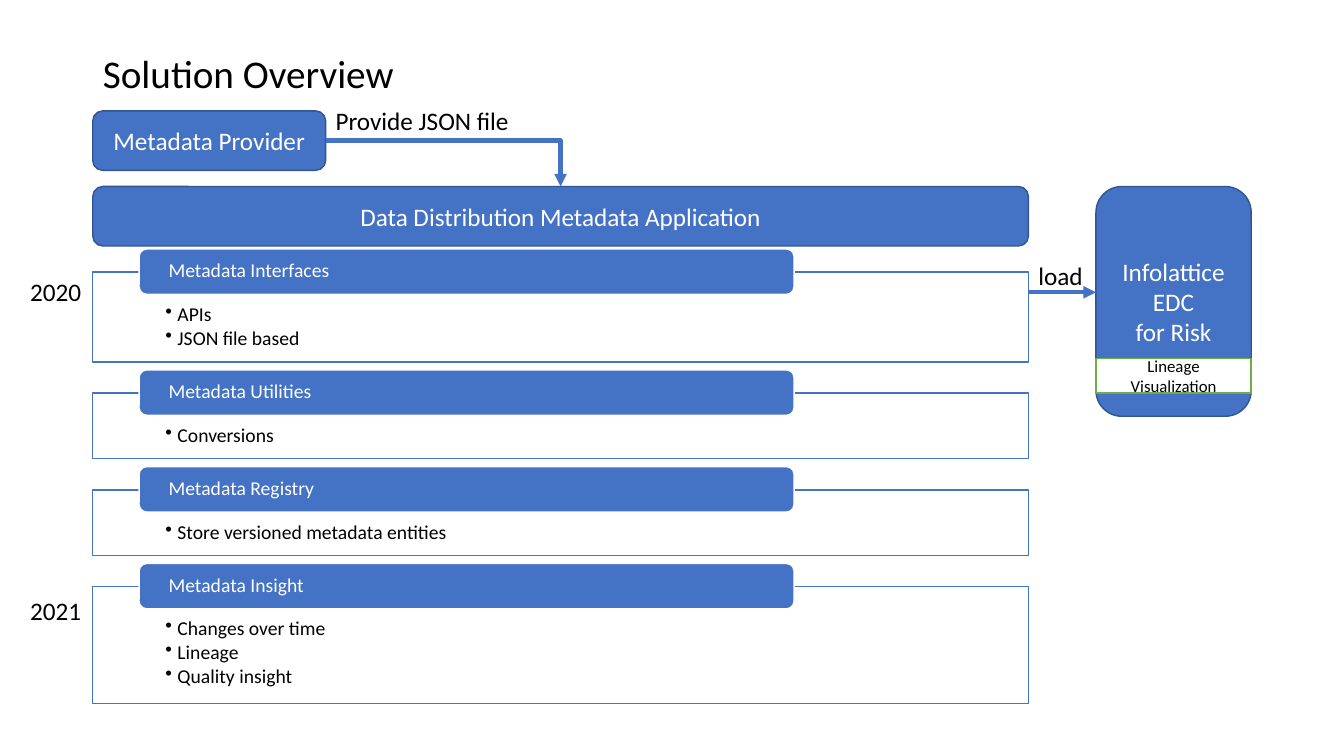
from collections import namedtuple
from dataclasses import dataclass

from lxml.etree import SubElement
from pptx import Presentation
from pptx.dml.color import RGBColor
from pptx.enum.shapes import MSO_CONNECTOR, MSO_SHAPE
from pptx.enum.text import MSO_ANCHOR, PP_ALIGN
from pptx.oxml.ns import qn
from pptx.util import Inches, Pt

Box = namedtuple("Box", "left top width height")


@dataclass(frozen=True)
class Theme:
    font: str = "Calibri"
    blue: str = "4472C4"
    dark_blue: str = "325491"
    green: str = "70AD47"
    white: str = "FFFFFF"
    black: str = "000000"
    title_size: int = 28
    large_size: int = 18
    list_size: int = 14
    small_size: int = 12


THEME = Theme()
PANEL_GAP = 0.31
PANELS = [
    ("Metadata Interfaces", ["APIs", "JSON file based"], 0.89),
    ("Metadata Utilities", ["Conversions"], 0.65),
    ("Metadata Registry", ["Store versioned metadata entities"], 0.65),
    ("Metadata Insight", ["Changes over time", "Lineage", "Quality insight"], 1.16),
]


def to_inches(box):
    return [Inches(value) for value in box]


def write_lines(frame, lines, size, color, align=PP_ALIGN.LEFT):
    for index, line in enumerate(lines):
        paragraph = frame.add_paragraph() if index else frame.paragraphs[0]
        paragraph.text = line
        paragraph.alignment = align
        paragraph.font.name = THEME.font
        paragraph.font.size = Pt(size)
        paragraph.font.color.rgb = RGBColor.from_string(color)


def set_margins(frame, left, top, right, bottom):
    frame.margin_left, frame.margin_right = Inches(left), Inches(right)
    frame.margin_top, frame.margin_bottom = Inches(top), Inches(bottom)


def add_block(page, kind, box, fill, line):
    block = page.shapes.add_shape(kind, *to_inches(box))
    block.shadow.inherit = False
    block.fill.solid()
    block.fill.fore_color.rgb = RGBColor.from_string(fill)
    block.line.color.rgb = RGBColor.from_string(line)
    block.line.width = Pt(1)
    block.text_frame.word_wrap = True
    block.text_frame.vertical_anchor = MSO_ANCHOR.MIDDLE
    return block


def add_node(page, box, lines):
    node = add_block(page, MSO_SHAPE.ROUNDED_RECTANGLE, box, THEME.blue, THEME.dark_blue)
    write_lines(node.text_frame, lines, THEME.large_size, THEME.white, PP_ALIGN.CENTER)
    return node


def add_label(page, box, text):
    label = page.shapes.add_textbox(*to_inches(box))
    label.text_frame.word_wrap = False
    write_lines(label.text_frame, [text], THEME.large_size, THEME.black)


def add_arrow(page, kind, start, end):
    arrow = page.shapes.add_connector(kind, *to_inches(start + end))
    arrow.line.color.rgb = RGBColor.from_string(THEME.blue)
    arrow.line.width = Pt(3)
    SubElement(arrow.line._get_or_add_ln(), qn("a:tailEnd"), type="triangle")
    SubElement(arrow._element.spPr, qn("a:effectLst"))
    return arrow


def add_title(page, box, text):
    title = page.shapes.title
    title.left, title.top, title.width, title.height = to_inches(box)
    title.text_frame.vertical_anchor = MSO_ANCHOR.MIDDLE
    write_lines(title.text_frame, [text], THEME.title_size, THEME.black)
    title.text_frame.paragraphs[0].line_spacing = 0.9


def add_panel(page, box, heading, items):
    # Outlined body with its bullets
    body = add_block(page, MSO_SHAPE.RECTANGLE, box, THEME.white, THEME.blue)
    frame = body.text_frame
    frame.vertical_anchor = MSO_ANCHOR.TOP
    set_margins(frame, 0.72, 0.32, 0.72, 0.11)
    write_lines(frame, items, THEME.list_size, THEME.black)
    for paragraph in frame.paragraphs:
        paragraph.line_spacing = 0.9
        paragraph.space_after = Pt(2)
        properties = paragraph._p.get_or_add_pPr()
        properties.set("marL", str(Inches(0.12)))
        properties.set("indent", str(Inches(-0.12)))
        bullet = SubElement(properties, qn("a:buChar"), char="•")
        properties.find(qn("a:defRPr")).addprevious(bullet)

    # Heading tab across the top edge
    tab_box = Box(box.left + 0.46, box.top - 0.23, box.width * 0.7, 0.45)
    tab = add_block(page, MSO_SHAPE.ROUNDED_RECTANGLE, tab_box, THEME.blue, THEME.white)
    set_margins(tab.text_frame, 0.27, 0, 0.27, 0)
    write_lines(tab.text_frame, [heading], THEME.list_size, THEME.white)
    tab.text_frame.paragraphs[0].line_spacing = 0.9


def add_panels(page, box):
    top = box.top
    for heading, items, height in PANELS:
        add_panel(page, Box(box.left, top, box.width, height), heading, items)
        top += height + PANEL_GAP


def add_catalog(page, box):
    add_node(page, box, ["Infolattice EDC", "for Risk"])
    strip_box = Box(box.left, box.top + 1.71, box.width, 0.34)
    strip = add_block(page, MSO_SHAPE.RECTANGLE, strip_box, THEME.white, THEME.green)
    write_lines(strip.text_frame, ["Lineage Visualization"], THEME.small_size,
                THEME.black, PP_ALIGN.CENTER)


def add_provider_flow(page, box):
    # Provider above the application bar
    provider = add_node(page, Box(box.left, box.top, 2.31, 0.59), ["Metadata Provider"])
    application = add_node(page, Box(box.left, box.top + 0.75, box.width, 0.59),
                           ["Data Distribution Metadata Application"])

    # Bent arrow from provider to application
    arrow = add_arrow(page, MSO_CONNECTOR.ELBOW,
                      (box.left + 2.31, box.top + 0.29),
                      (box.left + box.width / 2, box.top + 0.75))
    arrow._element.spPr.find(qn("a:prstGeom")).set("prst", "bentConnector2")
    arrow.begin_connect(provider, 3)
    arrow.end_connect(application, 0)
    add_label(page, Box(box.left + 2.31, box.top - 0.1, 1.94, 0.4), "Provide JSON file")


def build_overview(page):
    add_title(page, Box(0.92, 0.4, 11.5, 0.71), "Solution Overview")
    add_panels(page, Box(0.92, 2.7, 9.28, 4.28))
    add_provider_flow(page, Box(0.92, 1.1, 9.28, 1.34))
    add_catalog(page, Box(10.87, 1.85, 1.54, 2.28))

    # Load arrow into the catalog
    add_arrow(page, MSO_CONNECTOR.STRAIGHT, (10.2, 2.9), (10.87, 2.9))
    add_label(page, Box(10.2, 2.53, 0.65, 0.4), "load")

    # Years beside the panels
    for year, top in (("2020", 2.69), ("2021", 5.86)):
        add_label(page, Box(0.2, top, 0.71, 0.4), year)


def main():
    deck = Presentation()
    deck.slide_width, deck.slide_height = Inches(13.33), Inches(7.5)
    build_overview(deck.slides.add_slide(deck.slide_layouts[5]))
    deck.save("out.pptx")


if __name__ == "__main__":
    main()
